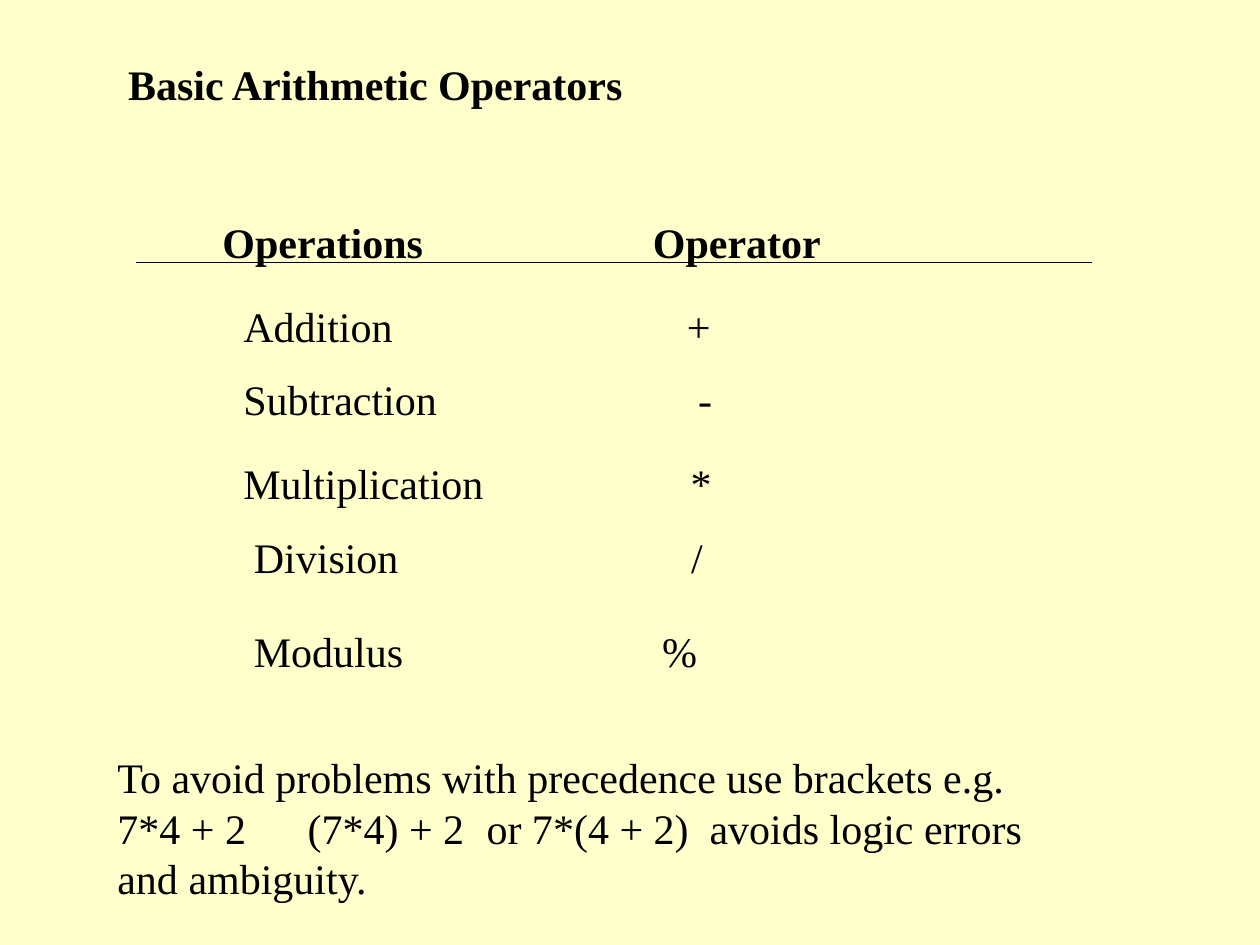
import pptx
import pptx.dml.color
import pptx.enum.shapes
import pptx.enum.text
import pptx.oxml.ns
import pptx.util
from lxml import etree

WIDTH, HEIGHT = 10, 7.5
COLUMN = ROW = 1 / 12
FONT, SIZE, LINE_PITCH = "Times New Roman", 24, 28.8
INK, PAPER = "000000", "FFFFCC"

HEADINGS = [("Operations", 20, 22), ("Operator", 61, 27)]
OPERATIONS = [
    ("Addition", "+", 22, 28, 54, 3.52),
    ("Subtraction", "-", 22, 35, 55, 3.61),
    ("Multiplication", "*", 22, 43, 59, 3.55),
    ("Division", "/", 23, 50, 62, 3.47),
    ("Modulus", "%", 23, 59, 59, 3.24),
]
ADVICE = (
    "To avoid problems with precedence use brackets e.g. "
    "7*4 + 2\t(7*4) + 2\tor 7*(4 + 2)\tavoids logic errors and ambiguity."
)
ADVICE_STOPS = (1.51, 2.93, 4.7)


def color(code):
    """Return the colour for a hex string."""
    return pptx.dml.color.RGBColor.from_string(code)


def across(columns):
    """Return a horizontal length given in grid columns."""
    return pptx.util.Inches(columns * COLUMN)


def down(rows):
    """Return a vertical length given in grid rows."""
    return pptx.util.Inches(rows * ROW)


def set_tab_stops(para, stops):
    """Give a paragraph left tab stops at the listed inches."""
    properties = para._p.get_or_add_pPr()
    tab_list = etree.SubElement(properties, pptx.oxml.ns.qn("a:tabLst"))
    for stop in stops:
        tab = etree.SubElement(tab_list, pptx.oxml.ns.qn("a:tab"))
        tab.set("pos", str(pptx.util.Inches(stop)))
        tab.set("algn", "l")


def write_text(box, text, bold=False, stops=()):
    """Fill a box with one left-aligned paragraph."""
    frame = box.text_frame
    frame.text = text
    frame.word_wrap = True
    frame.auto_size = pptx.enum.text.MSO_AUTO_SIZE.NONE
    frame.vertical_anchor = pptx.enum.text.MSO_ANCHOR.TOP
    para = frame.paragraphs[0]
    para.alignment = pptx.enum.text.PP_ALIGN.LEFT
    para.line_spacing = pptx.util.Pt(LINE_PITCH)
    if stops:
        set_tab_stops(para, stops)
    for span in para.runs:
        span.font.name = FONT
        span.font.size = pptx.util.Pt(SIZE)
        span.font.bold = bold
        span.font.color.rgb = color(INK)


def place_title(slide, text, left, top, width, height):
    """Move the title placeholder and write the title."""
    title = slide.shapes.title
    title.left, title.top = across(left), down(top)
    title.width, title.height = across(width), down(height)
    write_text(title, text, bold=True)


def add_text(slide, text, left, top, width, height=6, bold=False, stops=()):
    """Add a text box placed on the grid."""
    box = slide.shapes.add_textbox(
        across(left), down(top), across(width), down(height)
    )
    write_text(box, text, bold, stops)


def add_rule(slide, start, end, row):
    """Add a thin horizontal line between two columns."""
    rule = slide.shapes.add_connector(
        pptx.enum.shapes.MSO_CONNECTOR.STRAIGHT,
        across(start), down(row), across(end), down(row),
    )
    rule.line.color.rgb = color(INK)
    rule.line.width = pptx.util.Pt(0.75)
    etree.SubElement(rule._element.spPr, pptx.oxml.ns.qn("a:effectLst"))


def main():
    """Build the slide and save the deck."""
    deck = pptx.Presentation()
    deck.slide_width = pptx.util.Inches(WIDTH)
    deck.slide_height = pptx.util.Inches(HEIGHT)
    slide = deck.slides.add_slide(deck.slide_layouts.get_by_name("Title Only"))
    slide.background.fill.solid()
    slide.background.fill.fore_color.rgb = color(PAPER)

    place_title(slide, "Basic Arithmetic Operators", 11, 5, 82, 6)
    for heading, left, width in HEADINGS:
        add_text(slide, heading, left, 20, width, bold=True)
    for start, end in ((13, 84), (84, 104)):
        add_rule(slide, start, end, 25)
    for name, symbol, left, top, width, stop in OPERATIONS:
        add_text(slide, f"{name}\t{symbol}", left, top, width, stops=(stop,))
    add_text(slide, ADVICE, 10, 71, 89, 15.6, stops=ADVICE_STOPS)
    deck.save("out.pptx")


if __name__ == "__main__":
    main()
